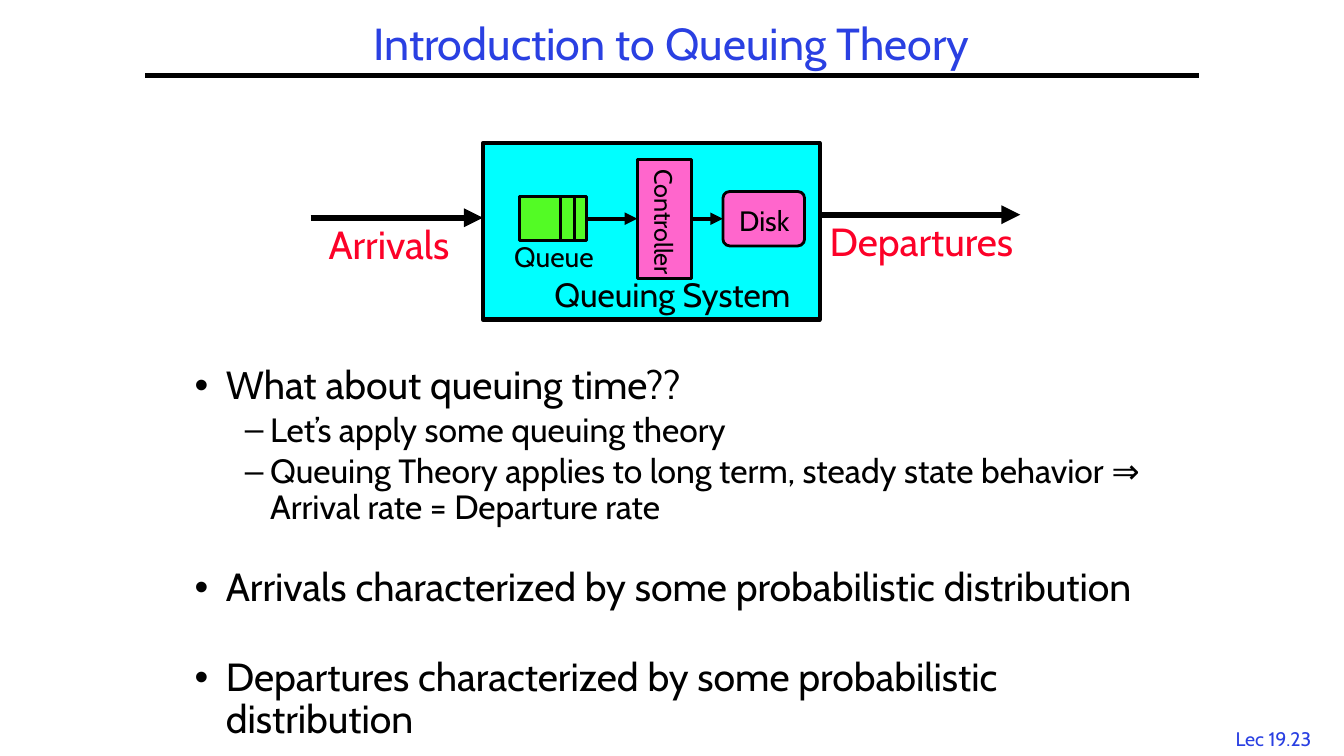
from lxml import etree
from pptx import Presentation
from pptx import util as u
from pptx.dml.color import RGBColor
from pptx.enum import shapes, text
from pptx.oxml import ns

FONT = "Cabin"
BLACK, BLUE, RED = "000000", "2A40E2", "FC0128"
CYAN, PINK, GREEN = "00FFFF", "FF66CC", "53FB25"


def rgb(color):
    return RGBColor.from_string(color)


def write(paragraph, words, size=24, color=BLACK, align=text.PP_ALIGN.LEFT,
          spacing=None, before=0):
    """Put formatted text in a paragraph."""
    paragraph.alignment = align
    paragraph.line_spacing = spacing
    paragraph.space_before = u.Pt(before)
    run = paragraph.add_run()
    run.text = words
    run.font.name = FONT
    run.font.size = u.Pt(size)
    run.font.color.rgb = rgb(color)


class Diagram:
    """The current slide and its drawing style."""

    def __init__(self, slide):
        self.slide = slide
        self.shapes = slide.shapes

    def place(self, shape, left, top, width, height):
        shape.left, shape.top = u.Inches(left), u.Inches(top)
        shape.width, shape.height = u.Inches(width), u.Inches(height)

    def title(self, words, box):
        title = self.shapes.title
        self.place(title, *box)
        frame = title.text_frame
        frame.auto_size = text.MSO_AUTO_SIZE.NONE
        frame.vertical_anchor = text.MSO_ANCHOR.MIDDLE
        write(frame.paragraphs[0], words, size=32, color=BLUE,
              align=text.PP_ALIGN.CENTER, spacing=0.9)

    def bullets(self, items, box):
        body = self.slide.placeholders[1]
        self.place(body, *box)
        frame = body.text_frame
        frame.auto_size = text.MSO_AUTO_SIZE.NONE
        frame.vertical_anchor = text.MSO_ANCHOR.TOP
        styles = [("•", 0.31, 0.31, 28), ("–", 0.75, 0.25, 24)]
        for index, (level, before, words) in enumerate(items):
            paragraph = frame.add_paragraph() if index else frame.paragraphs[0]
            mark, margin, hanging, size = styles[level]
            paragraph.level = level
            props = paragraph._p.get_or_add_pPr()
            props.set("marL", str(u.Inches(margin)))
            props.set("indent", str(-u.Inches(hanging)))
            etree.SubElement(props, ns.qn("a:buChar"), char=mark)
            write(paragraph, words, size=size, spacing=0.9, before=before)

    def label(self, words, box, inset=(0.1, 0.05), **style):
        label = self.shapes.add_textbox(*map(u.Inches, box))
        frame = label.text_frame
        frame.word_wrap = False
        frame.auto_size = text.MSO_AUTO_SIZE.SHAPE_TO_FIT_TEXT
        frame.margin_left = frame.margin_right = u.Inches(inset[0])
        frame.margin_top = frame.margin_bottom = u.Inches(inset[1])
        write(frame.paragraphs[0], words, **style)

    def block(self, box, fill, weight=2, kind=shapes.MSO_SHAPE.RECTANGLE):
        block = self.shapes.add_shape(kind, *map(u.Inches, box))
        block.shadow.inherit = False
        block.fill.solid()
        block.fill.fore_color.rgb = rgb(fill)
        block.line.color.rgb = rgb(BLACK)
        block.line.width = u.Pt(weight)
        return block

    def line(self, start, end, weight, arrow=False):
        line = self.shapes.add_connector(
            shapes.MSO_CONNECTOR.STRAIGHT, *map(u.Inches, start + end))
        line.line.color.rgb = rgb(BLACK)
        line.line.width = u.Pt(weight)
        if arrow:
            etree.SubElement(line.line._get_or_add_ln(), ns.qn("a:tailEnd"),
                             type="triangle")
        etree.SubElement(line._element.spPr, ns.qn("a:effectLst"))
        return line

    def link(self, source, target):
        """Arrow from the right side of one block to the left of the next."""
        arrow = self.line((0, 0), (1, 0), 3, arrow=True)
        arrow.begin_connect(source, 3)
        arrow.end_connect(target, 1)


def main():
    prs = Presentation()
    prs.slide_width, prs.slide_height = u.Inches(13.33), u.Inches(7.5)
    diagram = Diagram(prs.slides.add_slide(prs.slide_layouts[1]))

    # Header and lecture number
    diagram.label("Lec 19.23", (12.09, 7.16, 1.08, 0.33), size=14, color=BLUE,
                  align=text.PP_ALIGN.CENTER)
    diagram.line((1.44, 0.75), (11.89, 0.75), 3)
    diagram.title("Introduction to Queuing Theory", (1.44, 0.17, 10.44, 0.58))

    # Flow in and out of the system
    diagram.label("Departures", (8.13, 2.11, 2.15, 0.57), size=28, color=RED)
    diagram.label("Arrivals", (3.16, 2.14, 1.51, 0.57), size=28, color=RED)
    diagram.line((8, 2.13), (10.12, 2.13), 4.5, arrow=True)
    diagram.line((3.08, 2.16), (4.79, 2.16), 4.5, arrow=True)
    diagram.block((4.79, 1.42, 3.34, 1.75), CYAN, weight=3)
    diagram.label("Queuing System", (5.4, 2.67, 2.69, 0.5))

    # Queue, controller and disk
    disk = diagram.block((7.17, 1.9, 0.81, 0.54), PINK,
                         kind=shapes.MSO_SHAPE.ROUNDED_RECTANGLE)
    disk.adjustments[0] = 0.125
    queue = diagram.block((5.15, 1.95, 0.67, 0.44), GREEN)
    for slot in (5.56, 5.7):
        diagram.line((slot, 2.39), (slot, 1.95), 2)
    controller = diagram.block((6.32, 1.58, 0.54, 1.18), PINK)
    frame = controller.text_frame
    frame.word_wrap = False
    frame.vertical_anchor = text.MSO_ANCHOR.MIDDLE
    frame._txBody.bodyPr.set("vert", "eaVert")
    write(frame.paragraphs[0], "Controller", size=18)
    for words, box in (("Queue", (5.03, 2.4, 0.98, 0.34)),
                       ("Disk", (7.26, 2.04, 0.69, 0.34))):
        diagram.label(words, box, inset=(0.07, 0.03), size=20, spacing=0.85)
    diagram.link(queue, controller)
    diagram.link(controller, disk)

    # Discussion: level, space before, wording
    diagram.bullets([
        (0, 0, "What about queuing time??"),
        (1, 3.6, "Let’s apply some queuing theory"),
        (1, 3.6, "Queuing Theory applies to long term, steady state behavior "
                 "⇒ Arrival rate = Departure rate"),
        (0, 29, "Arrivals characterized by some probabilistic distribution"),
        (0, 34, "Departures characterized by some probabilistic distribution"),
    ], (1.83, 3.58, 9.67, 3.6))

    prs.save("out.pptx")


if __name__ == "__main__":
    main()
